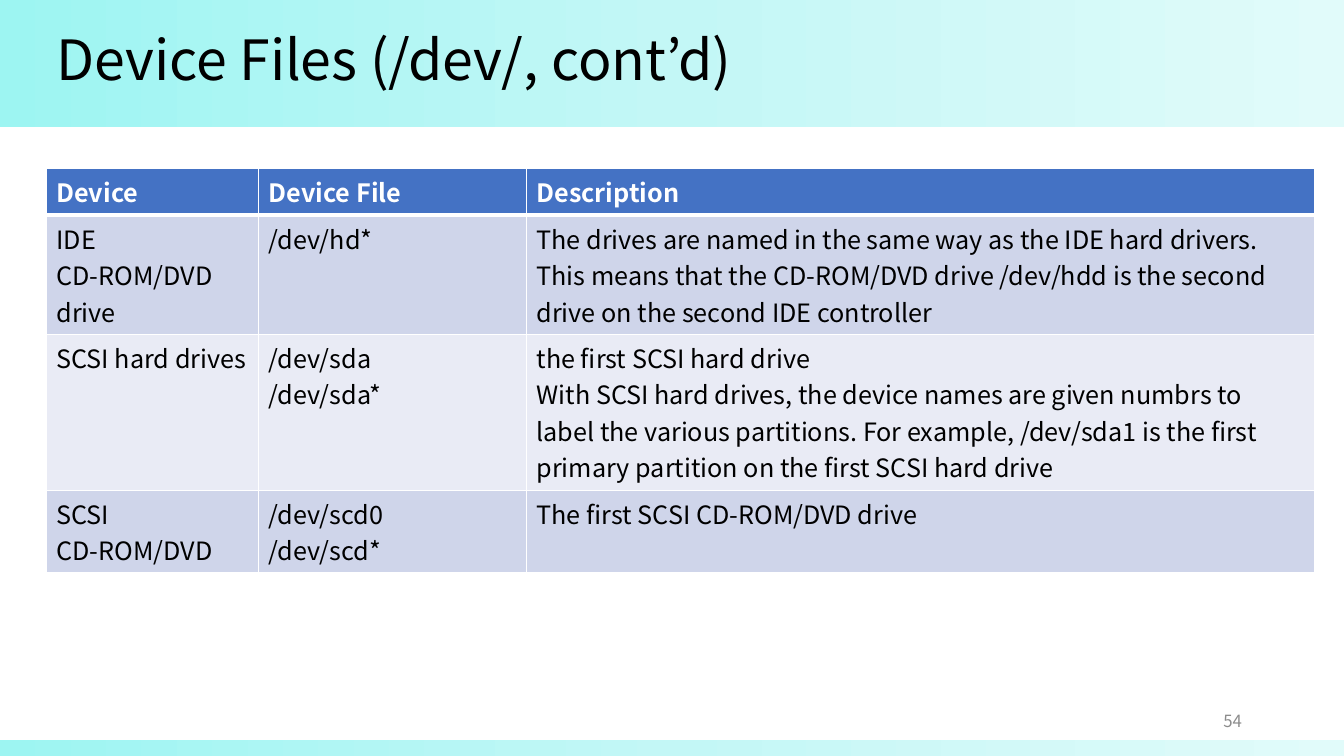
import copy
from dataclasses import dataclass

import pptx
import pptx.dml.color
import pptx.enum.shapes
import pptx.enum.text
import pptx.oxml
import pptx.oxml.ns
import pptx.util
from pptx.util import Cm


@dataclass(frozen=True)
class Theme:
    font: str = "Noto Sans CJK KR"
    title_size: float = 39.6
    table_size: float = 18
    number_size: float = 12
    text: str = "000000"
    light: str = "FFFFFF"
    muted: str = "8C8C8C"
    header: str = "4472C4"
    bands: tuple = ("CFD5EA", "E9EBF5")
    gradient: tuple = ((0, "9DF5F2"), (0.5, "C3F7F6"), (1, "E1FBFA"))


@dataclass(frozen=True)
class Box:
    left: int
    top: int
    width: int
    height: int

    def bounds(self):
        return self.left, self.top, self.width, self.height


THEME = Theme()
ALIGN = pptx.enum.text.PP_ALIGN
ANCHOR = pptx.enum.text.MSO_ANCHOR
COLUMN_WIDTHS = (5.35, 6.75, 19.85)
ROW_HEIGHTS = (1.18, 3.0, 3.93, 2.08)
DEVICE_ROWS = (
    ("Device", "Device File", "Description"),
    (
        "IDE CD-ROM/DVD drive",
        "/dev/hd*",
        "The drives are named in the same way as the IDE hard drivers. "
        "This means that the CD-ROM/DVD drive /dev/hdd is the second "
        "drive on the second IDE controller",
    ),
    (
        "SCSI hard drives",
        "/dev/sda\n/dev/sda*",
        "the first SCSI hard drive\n"
        "With SCSI hard drives, the device names are given numbrs to "
        "label the various partitions. For example, /dev/sda1 is the first "
        "primary partition on the first SCSI hard drive",
    ),
    (
        "SCSI CD-ROM/DVD",
        "/dev/scd0\n/dev/scd*",
        "The first SCSI CD-ROM/DVD drive",
    ),
)


def rgb(value):
    return pptx.dml.color.RGBColor.from_string(value)


def write_text(frame, text, *, size, color=THEME.text, bold=False,
               align=ALIGN.LEFT, spacing=None):
    frame.word_wrap = True
    for index, line in enumerate(text.split("\n")):
        paragraph = frame.add_paragraph() if index else frame.paragraphs[0]
        paragraph.alignment = align
        if spacing:
            paragraph.line_spacing = spacing
        run = paragraph.add_run()
        run.text = line
        run.font.size = pptx.util.Pt(size)
        run.font.bold = bold
        run.font.name = THEME.font
        run.font.color.rgb = rgb(color)
        east_asian = pptx.oxml.parse_xml(
            f'<a:ea {pptx.oxml.ns.nsdecls("a")} typeface="{THEME.font}"/>')
        run.font._element.find(pptx.oxml.ns.qn("a:latin")).addnext(east_asian)


def add_text_box(slide, box, text, **text_format):
    shape = slide.shapes.add_textbox(*box.bounds())
    shape.text_frame.vertical_anchor = ANCHOR.MIDDLE
    write_text(shape.text_frame, text, **text_format)


def add_gradient_band(slide, box):
    shape = slide.shapes.add_shape(
        pptx.enum.shapes.MSO_SHAPE.RECTANGLE, *box.bounds())
    shape.shadow.inherit = False
    shape.line.fill.background()
    shape.fill.gradient()
    shape.fill.gradient_angle = 0
    stop_list = shape._element.spPr.find(".//" + pptx.oxml.ns.qn("a:gsLst"))
    stop_list.insert(1, copy.deepcopy(stop_list[0]))
    for stop, (position, color) in zip(shape.fill.gradient_stops, THEME.gradient):
        stop.position = position
        stop.color.rgb = rgb(color)


def add_title_region(slide, box):
    add_gradient_band(slide, box)
    title_box = Box(box.left + Cm(1.17), box.top + Cm(0.69), Cm(31.95), Cm(1.78))
    add_text_box(slide, title_box, "Device Files (/dev/, cont’d)",
                 size=THEME.title_size, spacing=0.9)


def set_borders(cell, is_header, below_header):
    widths = {"L": 1, "R": 1, "T": 3 if below_header else 1,
              "B": 3 if is_header else 1}
    properties = cell._tc.get_or_add_tcPr()
    for side, points in widths.items():
        properties.append(pptx.oxml.parse_xml(
            f'<a:ln{side} {pptx.oxml.ns.nsdecls("a")} w="{pptx.util.Pt(points)}">'
            f'<a:solidFill><a:srgbClr val="{THEME.light}"/></a:solidFill>'
            f'</a:ln{side}>'))


def add_device_table(slide, box):
    table = slide.shapes.add_table(
        len(DEVICE_ROWS), len(COLUMN_WIDTHS), *box.bounds()).table
    for column, width in zip(table.columns, COLUMN_WIDTHS):
        column.width = Cm(width)
    for row, height in zip(table.rows, ROW_HEIGHTS):
        row.height = Cm(height)
    for row_index, texts in enumerate(DEVICE_ROWS):
        is_header = row_index == 0
        fill = THEME.header if is_header else THEME.bands[(row_index - 1) % 2]
        for column_index, text in enumerate(texts):
            cell = table.cell(row_index, column_index)
            set_borders(cell, is_header, row_index == 1)
            cell.fill.solid()
            cell.fill.fore_color.rgb = rgb(fill)
            write_text(cell.text_frame, text, size=THEME.table_size,
                       color=THEME.light if is_header else THEME.text,
                       bold=is_header)


def add_footer_region(slide, box):
    add_gradient_band(slide, box)
    number_box = Box(box.left + Cm(23.93), box.top - Cm(0.99), Cm(7.62), Cm(1.01))
    add_text_box(slide, number_box, "54", size=THEME.number_size,
                 color=THEME.muted, align=ALIGN.RIGHT)


def main():
    presentation = pptx.Presentation()
    presentation.slide_width = Cm(33.87)
    presentation.slide_height = Cm(19.05)
    slide = presentation.slides.add_slide(presentation.slide_layouts[6])
    width, height = presentation.slide_width, presentation.slide_height
    footer_height = Cm(0.41)
    add_title_region(slide, Box(0, 0, width, Cm(3.2)))
    add_device_table(slide, Box(Cm(1.17), Cm(4.24), Cm(sum(COLUMN_WIDTHS)),
                                Cm(sum(ROW_HEIGHTS))))
    add_footer_region(slide, Box(0, height - footer_height, width, footer_height))
    presentation.save("out.pptx")


if __name__ == "__main__":
    main()
